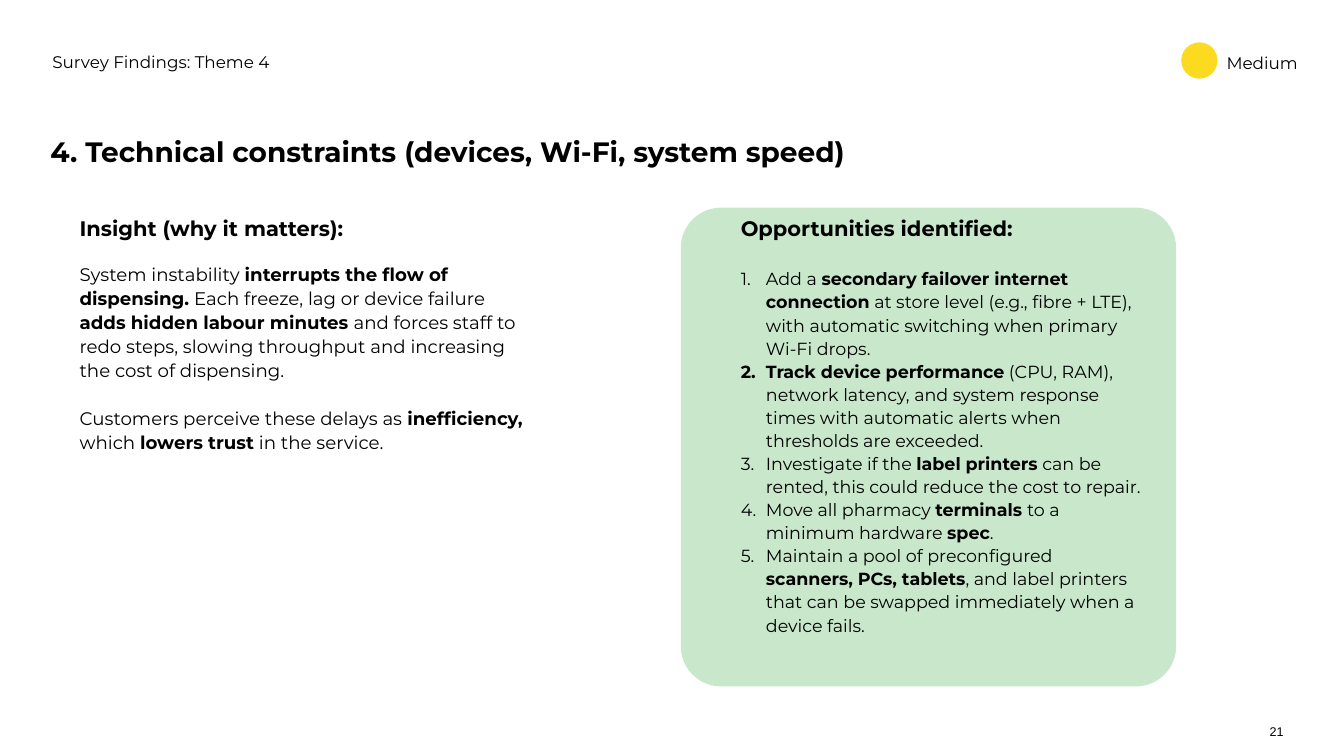
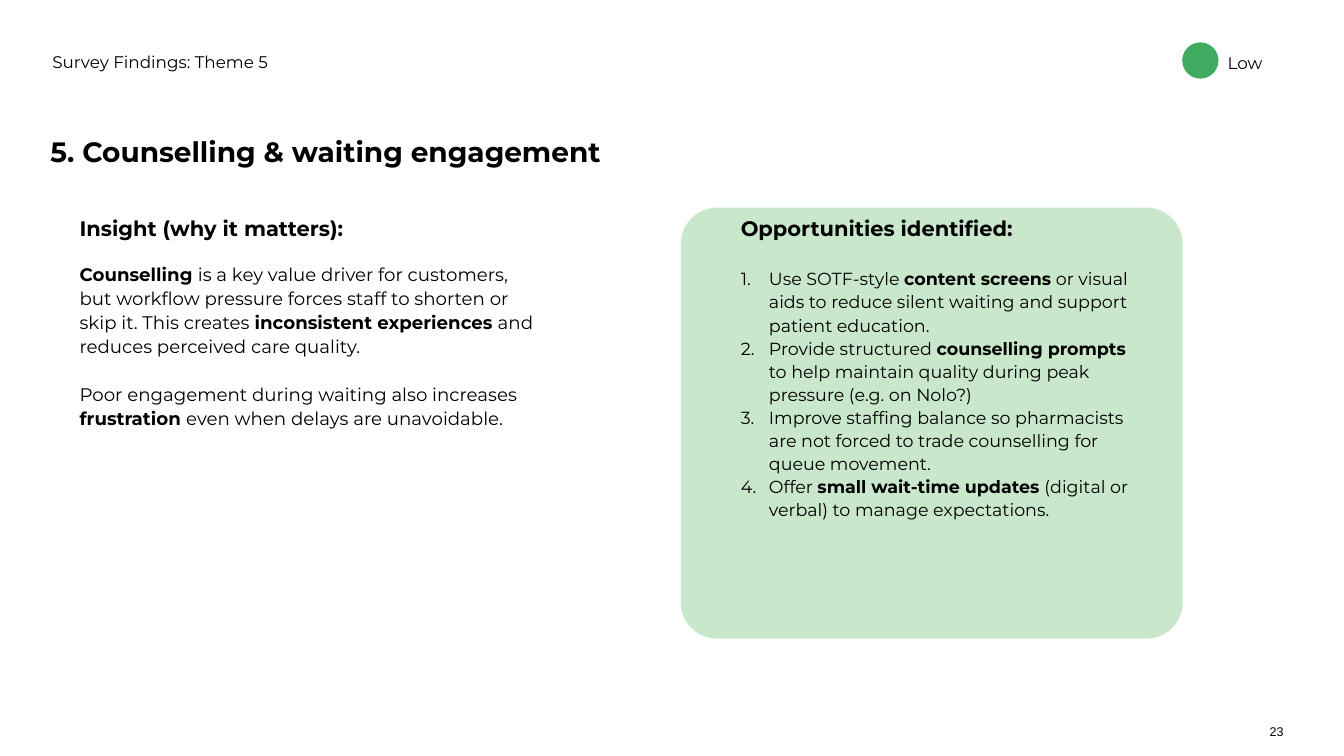
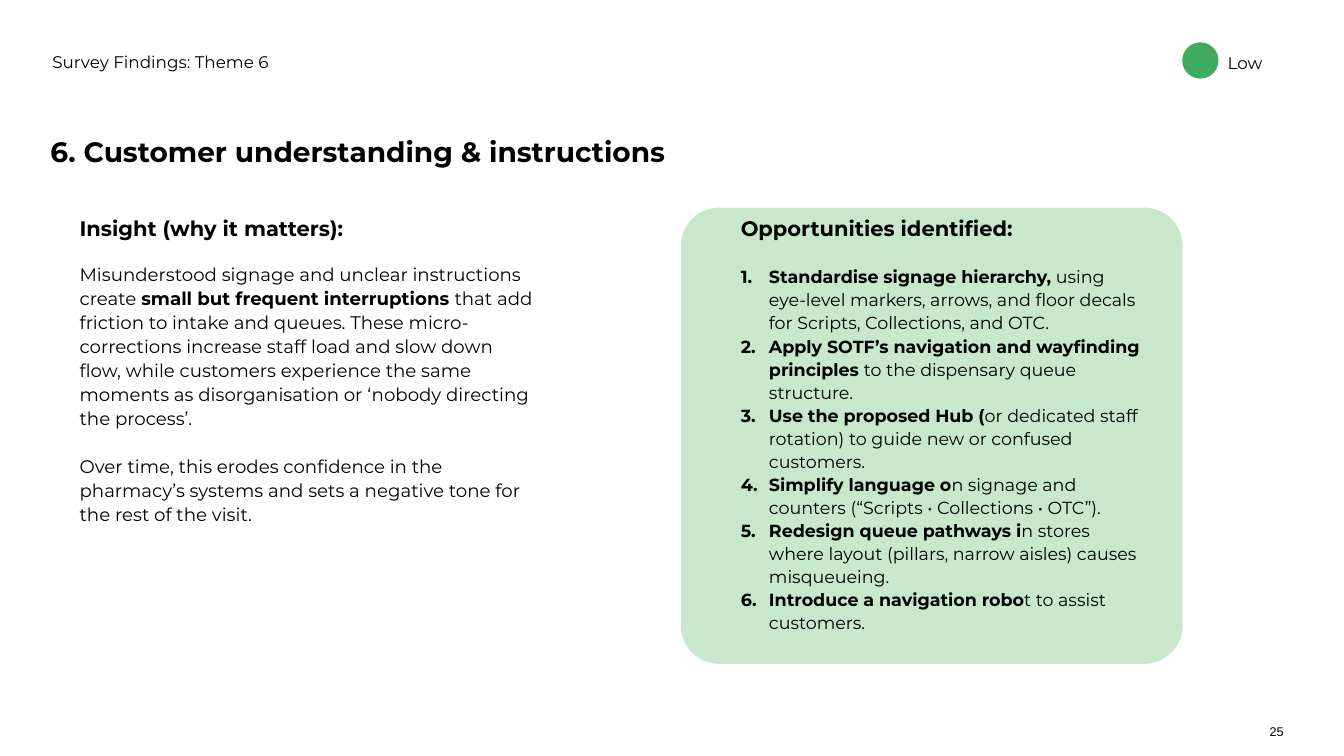
import dataclasses

import pptx
import pptx.dml.color
import pptx.enum.shapes
import pptx.enum.text
import pptx.oxml.ns
import pptx.util
from lxml import etree

PX = 9144
ANCHOR = pptx.enum.text.MSO_ANCHOR
ALIGN = pptx.enum.text.PP_ALIGN
SHAPE = pptx.enum.shapes.MSO_SHAPE


@dataclasses.dataclass(frozen=True)
class Theme:
    """Colours, fonts and type sizes shared by the slides."""
    ink: str = "000000"
    panel: str = "C8E7CB"
    medium: str = "FCDA1F"
    low: str = "3EAB60"
    face: str = "Montserrat"
    number_face: str = "Arial"
    title: int = 40
    heading: int = 30
    insight: int = 26
    opportunity: int = 25
    label: int = 24
    number: int = 18
    leading: float = 1.1


THEME = Theme()


@dataclasses.dataclass(frozen=True)
class Finding:
    """Content of one survey theme, with **bold** marked in the text."""
    theme: int
    page: int
    title: str
    priority: str
    priority_colour: str
    rating_left: int
    panel_size: tuple
    insights: tuple
    opportunities: tuple
    indent: int
    list_gap: int


FINDINGS = (
    Finding(
        4, 21, "Technical constraints (devices, Wi-Fi, system speed)",
        "Medium", THEME.medium, 2344, (983, 950),
        ("System instability **interrupts the flow of dispensing.** Each freeze, lag or device "
         "failure **adds hidden labour minutes** and forces staff to redo steps, slowing "
         "throughput and increasing the cost of dispensing.",
         "Customers perceive these delays as **inefficiency,** which **lowers trust** in the service."),
        ("Add a **secondary failover internet connection** at store level (e.g., fibre + LTE), "
         "with automatic switching when primary Wi-Fi drops.",
         "**Track device performance** (CPU, RAM), network latency, and system response times "
         "with automatic alerts when thresholds are exceeded.",
         "Investigate if the **label printers** can be rented, this could reduce the cost to repair.",
         "Move all pharmacy **terminals **to a minimum hardware **spec**.",
         "Maintain a pool of preconfigured **scanners, PCs, tablets**, and label printers that "
         "can be swapped immediately when a device fails."),
        50, 37),
    Finding(
        5, 23, "Counselling & waiting engagement",
        "Low", THEME.low, 2346, (996, 855),
        ("**Counselling **is a key value driver for customers, but workflow pressure forces staff "
         "to shorten or skip it. This creates **inconsistent experiences** and reduces perceived "
         "care quality.",
         "Poor engagement during waiting also increases **frustration **even when delays are "
         "unavoidable."),
        ("Use SOTF-style **content screens** or visual aids to reduce silent waiting and support "
         "patient education.",
         "Provide structured **counselling prompts** to help maintain quality during peak "
         "pressure (e.g. on Nolo?)",
         "Improve staffing balance so pharmacists are not forced to trade counselling for queue "
         "movement.",
         "Offer **small wait-time updates **(digital or verbal) to manage expectations."),
        56, 37),
    Finding(
        6, 25, "Customer understanding & instructions",
        "Low", THEME.low, 2346, (996, 905),
        ("Misunderstood signage and unclear instructions create **small but frequent "
         "interruptions** that add friction to intake and queues. These micro-corrections "
         "increase staff load and slow down flow, while customers experience the same moments "
         "as disorganisation or ‘nobody directing the process’.",
         "Over time, this erodes confidence in the pharmacy’s systems and sets a negative tone "
         "for the rest of the visit."),
        ("**Standardise signage hierarchy,** using eye-level markers, arrows, and floor decals "
         "for Scripts, Collections, and OTC.",
         "**Apply SOTF’s navigation and wayfinding principles **to the dispensary queue structure.",
         "**Use the proposed Hub (**or dedicated staff rotation) to guide new or confused customers.",
         "**Simplify language o**n signage and counters (“Scripts • Collections • OTC”).",
         "**Redesign queue pathways i**n stores where layout (pillars, narrow aisles) causes "
         "misqueueing.",
         "**Introduce a navigation robo**t to assist customers."),
        56, 34),
)


def emu(*lengths):
    """Turn px lengths into EMU."""
    return [pptx.util.Emu(length * PX) for length in lengths]


def colour(value):
    """Return an RGB colour from its hex form."""
    return pptx.dml.color.RGBColor.from_string(value)


def add_filled(shapes, preset, box, fill):
    """Add a borderless preset shape in one colour."""
    shape = shapes.add_shape(preset, *emu(*box))
    shape.shadow.inherit = False
    shape.fill.solid()
    shape.fill.fore_color.rgb = colour(fill)
    shape.line.fill.background()
    return shape


def add_frame(shapes, box, insets=(10, 5), anchor=ANCHOR.TOP):
    """Add a wrapping text box and return its text frame."""
    frame = shapes.add_textbox(*emu(*box)).text_frame
    frame.word_wrap = True
    frame.vertical_anchor = anchor
    frame.margin_left, frame.margin_top = emu(*insets)
    frame.margin_right, frame.margin_bottom = emu(*insets)
    return frame


def write(paragraph, text, size, bold=None, face=THEME.face):
    """Fill a paragraph, switching weight at each ** mark."""
    paragraph.line_spacing = THEME.leading
    font = paragraph.font
    font.name, font.size, font.bold = face, pptx.util.Pt(size), bold
    font.color.rgb = colour(THEME.ink)
    for index, part in enumerate(text.split("**")):
        if part:
            run = paragraph.add_run()
            run.text = part
            if index % 2:
                run.font.bold = True


def number_item(paragraph, indent):
    """Give a paragraph a hanging automatic number."""
    properties = paragraph._p.get_or_add_pPr()
    properties.set("marL", str(indent * PX))
    properties.set("indent", str(-indent * PX))
    numbering = etree.SubElement(properties, pptx.oxml.ns.qn("a:buAutoNum"))
    numbering.set("type", "arabicPeriod")


def add_header(slide, box, finding):
    """Add the running head and the numbered title."""
    left, top, width, height = box
    running_head = add_frame(slide.shapes, (left, top, 1213, 52))
    write(running_head.paragraphs[0], f"Survey Findings: Theme {finding.theme}", THEME.label)
    title = add_frame(slide.shapes, (left, top + 161, width, height - 161), (6, 6))
    write(title.paragraphs[0], f"{finding.theme}. {finding.title}", THEME.title, True)


def add_rating(slide, box, finding):
    """Add the grouped priority dot and its label."""
    left, top, width, height = box
    rating = slide.shapes.add_group_shape()
    add_filled(rating.shapes, SHAPE.OVAL, (left, top, height, height), finding.priority_colour)
    label = add_frame(rating.shapes, (left + 84, top + 10, width - 84, 56), (6, 6), ANCHOR.MIDDLE)
    write(label.paragraphs[0], finding.priority, THEME.label)


def add_insight(slide, box, finding):
    """Add the insight heading and its paragraphs."""
    insight = add_frame(slide.shapes, box, (20, 10))
    write(insight.paragraphs[0], "Insight (why it matters):", THEME.heading, True)
    for index, text in enumerate(finding.insights):
        paragraph = insight.add_paragraph()
        paragraph.space_before = pptx.util.Pt(34 if index else 30)
        write(paragraph, text, THEME.insight)


def add_opportunities(slide, box, finding):
    """Add the tinted panel with its heading and numbered list."""
    left, top, width, height = box
    panel = add_filled(slide.shapes, SHAPE.ROUNDED_RECTANGLE, box, THEME.panel)
    panel.adjustments[0] = 0.084
    opportunities = add_frame(slide.shapes, (left + 99, top, 834, height), (20, 10))
    write(opportunities.paragraphs[0], "Opportunities identified:", THEME.heading, True)
    for index, text in enumerate(finding.opportunities):
        item = opportunities.add_paragraph()
        item.space_before = pptx.util.Pt(0 if index else finding.list_gap)
        number_item(item, finding.indent)
        write(item, text, THEME.opportunity)


def add_page_number(slide, box, page):
    """Add the page number at the lower right."""
    footer = add_frame(slide.shapes, box, (0, 0), ANCHOR.BOTTOM)
    footer.paragraphs[0].alignment = ALIGN.RIGHT
    write(footer.paragraphs[0], str(page), THEME.number, face=THEME.number_face)


def add_finding(deck, finding):
    """Add one survey finding slide."""
    slide = deck.slides.add_slide(deck.slide_layouts[6])
    add_page_number(slide, (2476, 1436, 71, 31), finding.page)
    add_header(slide, (94, 94, 2257, 246), finding)
    add_opportunities(slide, (1351, 412, *finding.panel_size), finding)
    add_insight(slide, (138, 412, 943, 547), finding)
    add_rating(slide, (finding.rating_left, 84, 247, 72), finding)


def main():
    """Build and save the deck."""
    deck = pptx.Presentation()
    deck.slide_width, deck.slide_height = emu(2667, 1500)
    for finding in FINDINGS:
        add_finding(deck, finding)
    deck.save("out.pptx")


if __name__ == "__main__":
    main()
